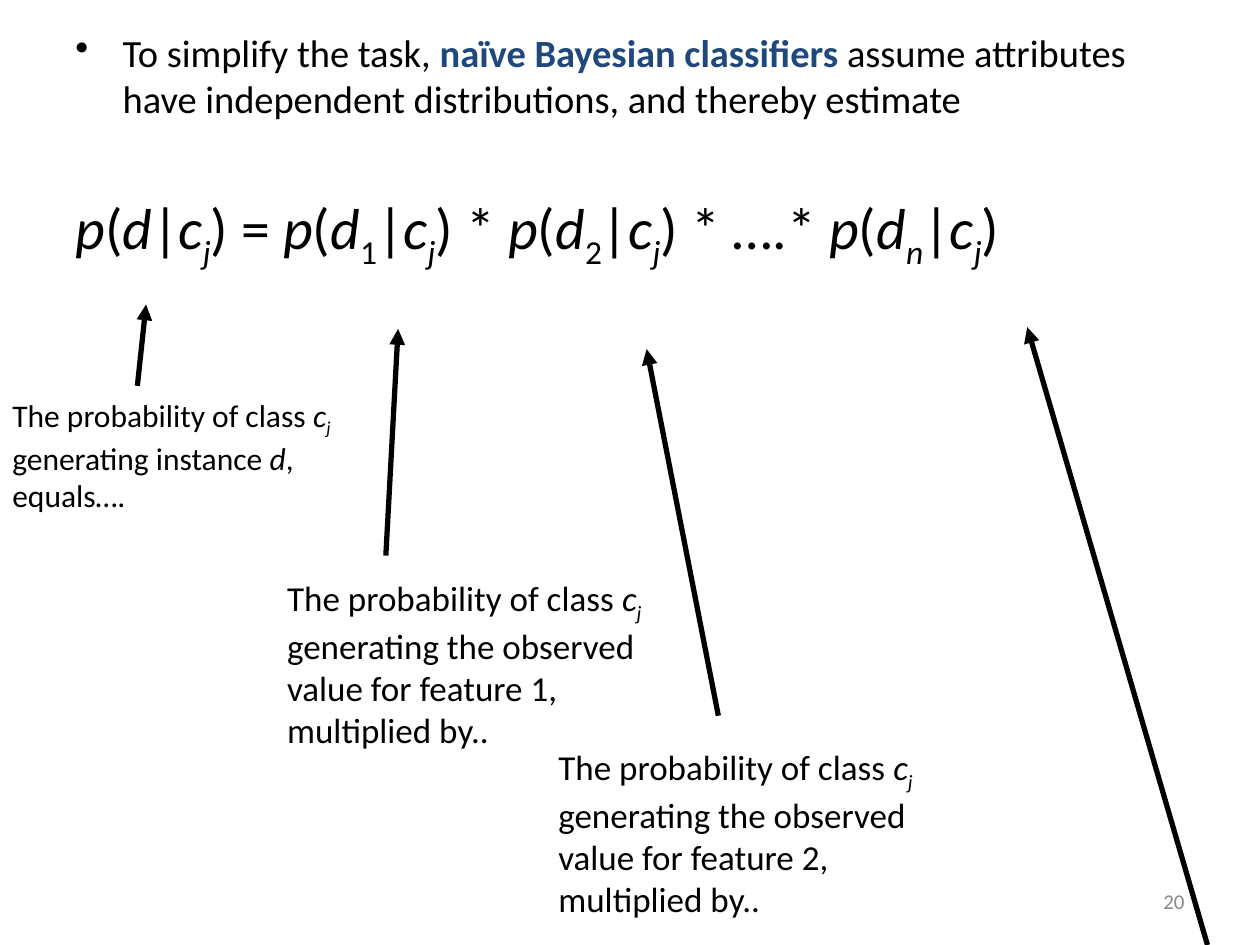
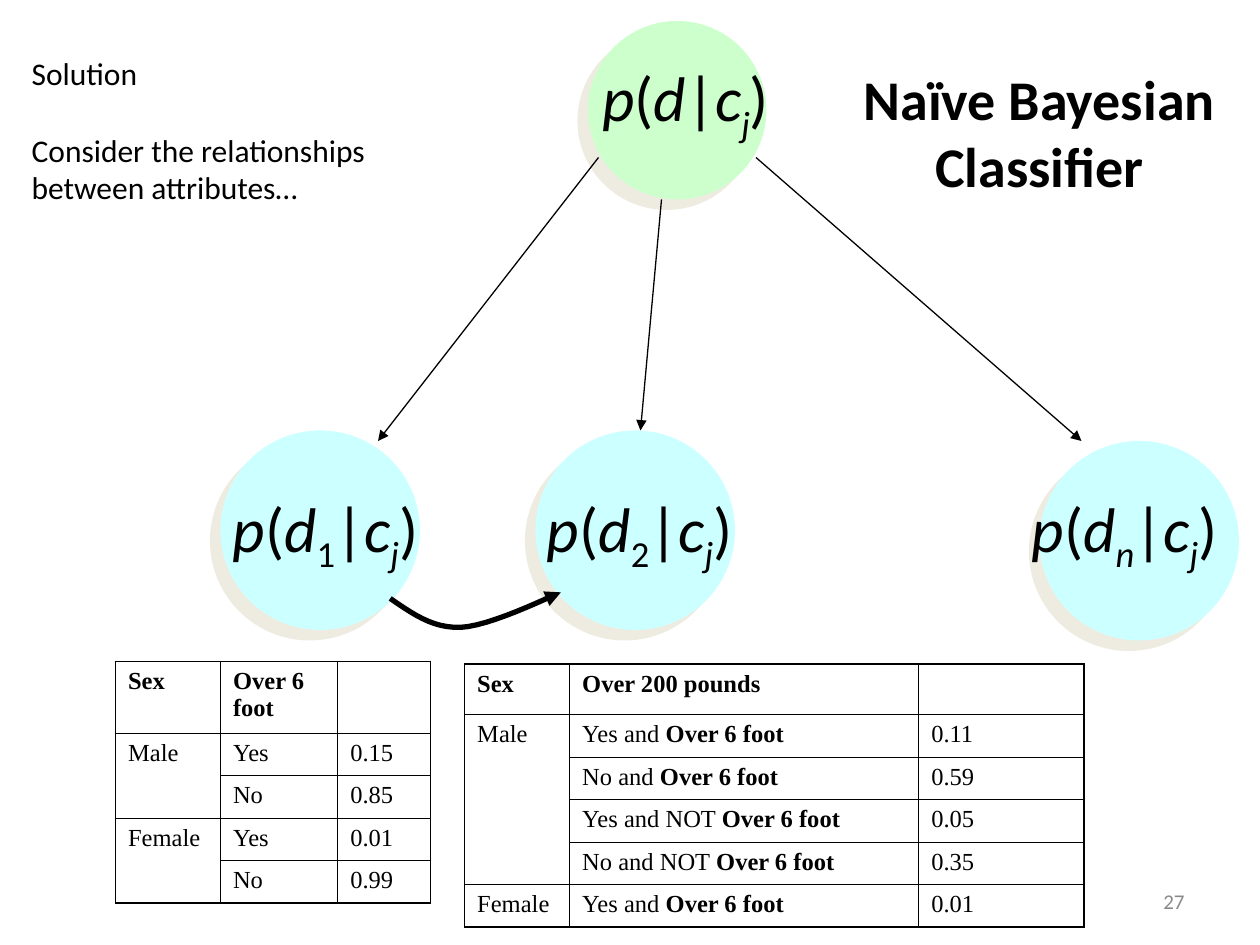
from dataclasses import dataclass
from lxml import etree
from pptx import Presentation
from pptx.dml.color import RGBColor
from pptx.enum import shapes, text
from pptx.oxml.ns import qn
from pptx.util import Pt


@dataclass(frozen=True)
class Theme:
    ink: str = "000000"
    accent: str = "1F497D"
    mute: str = "898989"
    root: str = "CCFFCC"
    leaf: str = "CCFFFF"
    shade: str = "EEECE1"
    face: str = "Calibri"
    serif: str = "Times New Roman"
    title: int = 32
    node: int = 36
    math: int = 33
    lead: int = 22
    note: int = 20
    small: int = 18
    cell: int = 14
    foot: int = 12


T = Theme()
# {italic} [italic subscript] <subscript> «accent bold» ‹bold›
OPEN = {"{": "i", "[": "is", "<": "s", "«": "ba", "‹": "b"}
CLOSE = "}]>»›"


def write(frame, lines, size, face=T.face, color=T.ink):
    """Fill a text frame from marked-up lines; return its paragraphs."""
    frame.word_wrap = True
    for n, line in enumerate(lines):
        para = frame.add_paragraph() if n else frame.paragraphs[0]
        para.font.size, para.font.name = Pt(size), face
        para.font.color.rgb = RGBColor.from_string(color)
        parts = [["", ""]]
        for char in line:
            if char in OPEN or char in CLOSE:
                parts.append([OPEN.get(char, ""), ""])
            else:
                parts[-1][1] += char
        for style, words in parts:
            if not words:
                continue
            run = para.add_run()
            run.text = words
            if "i" in style:
                run.font.italic = True
            if "b" in style:
                run.font.bold = True
            if "a" in style:
                run.font.color.rgb = RGBColor.from_string(T.accent)
            if "s" in style:
                run._r.get_or_add_rPr().set("baseline", "-25000")
    return frame.paragraphs


def arrow(shape, width):
    """Give a connector or open outline a black stroke with an arrowhead."""
    shape.line.width = Pt(width)
    shape.line.color.rgb = RGBColor.from_string(T.ink)
    props = shape._element.spPr
    etree.SubElement(props.find(qn("a:ln")), qn("a:tailEnd"), type="triangle")
    etree.SubElement(props, qn("a:effectLst"))


deck = Presentation()
deck.slide_width, deck.slide_height = Pt(720), Pt(540)
rule, tree = [deck.slides.add_slide(deck.slide_layouts[6]) for _ in range(2)]

# Slide 1: rule and product formula
body = rule.shapes.add_textbox(Pt(36), Pt(13), Pt(648), Pt(160))
lead, math = write(body.text_frame, [
    "To simplify the task, «naïve Bayesian classifiers» assume attributes "
    "have independent distributions, and thereby estimate",
    "{p}({d}|{c}[j]) = {p}({d}<1>|{c}[j]) * {p}({d}<2>|{c}[j]) * ….* {p}({d}[n]|{c}[j])",
], T.lead)
math.font.size = Pt(T.math)
math.space_before = Pt(40.5)
props = lead._p.get_or_add_pPr()
props.set("marL", str(Pt(27)))
props.set("indent", str(-Pt(27)))
bullet = etree.Element(qn("a:buChar"), char="•")
props[-1].addprevious(bullet)

# Slide 1: notes under the factors
for x, y, size, tail in [
    (0, 222.5, T.small, "instance {d}, equals…."),
    (157, 326, T.note, "the observed value for feature 1, multiplied by.."),
    (312, 422.5, T.note, "the observed value for feature 2, multiplied by.."),
]:
    note = rule.shapes.add_textbox(Pt(x), Pt(y), Pt(232), Pt(106))
    write(note.text_frame,
          ["The probability of class {c}[j] generating " + tail], size)

# Slide 2: circles with flat offset shadows
for x, y, size, color in [
    (306, 246, 114, T.leaf), (594, 252, 114, T.leaf),
    (126, 246, 114, T.leaf), (336, 12, 102, T.root),
]:
    disc = tree.shapes.add_shape(shapes.MSO_SHAPE.OVAL,
                                 Pt(x), Pt(y), Pt(size), Pt(size))
    disc.fill.solid()
    disc.fill.fore_color.rgb = RGBColor.from_string(color)
    disc.line.fill.background()
    disc.shadow.inherit = False
    effect = disc._element.spPr.find(qn("a:effectLst"))
    shade = etree.SubElement(effect, qn("a:outerShdw"), blurRad="0",
                             dist=str(Pt(8.5)), dir="8100000",
                             algn="ctr", rotWithShape="0")
    etree.SubElement(shade, qn("a:srgbClr"), val=T.shade)

# Slide 2: title
title = tree.shapes.add_textbox(Pt(480), Pt(30), Pt(228), Pt(90)).text_frame
title.vertical_anchor = text.MSO_ANCHOR.MIDDLE
head = write(title, ["Naïve Bayesian Classifier"], T.title)[0]
head.font.bold = True
head.alignment = text.PP_ALIGN.CENTER

# Slide 2: node labels, the lower three set on tab stops
leaves = tree.shapes.add_textbox(Pt(126), Pt(276), Pt(590), Pt(78))
row = write(leaves.text_frame, [
    "{p}({d}<1>|{c}[j])\t{p}({d}<2>|{c}[j])\t{p}({d}[n]|{c}[j])"], T.node)[0]
tabs = etree.Element(qn("a:tabLst"))
for stop in (179.5, 456.5):
    etree.SubElement(tabs, qn("a:tab"), pos=str(Pt(stop)), algn="l")
row._p.get_or_add_pPr()[-1].addprevious(tabs)
root = tree.shapes.add_textbox(Pt(337), Pt(30), Pt(126), Pt(57))
write(root.text_frame, ["{p}({d}|{c}[j])"], T.node)

# Slide 2: remark
hint = tree.shapes.add_textbox(Pt(11), Pt(27.5), Pt(229), Pt(93))
write(hint.text_frame, [
    "Solution", "Consider the relationships between attributes…",
], T.small)[1].space_before = Pt(22)

# Straight arrows on both slides
for page, width, ends in [
    (rule, 3, [(78.5, 220.5, 83.5, 174), (220.5, 317.5, 227.5, 188),
               (410.5, 409, 369.5, 199.5), (690, 540, 587, 187)]),
    (tree, 0.75, [(342, 90, 216, 252), (378, 114, 366, 246),
                  (432, 90, 618, 252)]),
]:
    for end in ends:
        arrow(page.shapes.add_connector(shapes.MSO_CONNECTOR.STRAIGHT,
                                        *map(Pt, end)), width)

# Slide 2: probability tables; an empty first cell joins the one above
for x, y, cols, top, rows in [
    (66, 378, (60, 67, 53), 41, [
        ("‹Sex›", "‹Over 6 foot›", ""),
        ("Male", "Yes", "0.15"), ("", "No", "0.85"),
        ("Female", "Yes", "0.01"), ("", "No", "0.99")]),
    (265.5, 379.5, (60, 199.5, 94.5), 28.9, [
        ("‹Sex›", "‹Over 200 pounds›", ""),
        ("Male", "Yes and ‹Over 6 foot›", "0.11"),
        ("", "No and ‹Over 6 foot›", "0.59"),
        ("", "Yes and NOT ‹Over 6 foot›", "0.05"),
        ("", "No and NOT ‹Over 6 foot›", "0.35"),
        ("Female", "Yes and ‹Over 6 foot›", "0.01")]),
]:
    grid = tree.shapes.add_table(len(rows), len(cols), Pt(x), Pt(y), Pt(sum(cols)),
                                 Pt(top + 24.3 * (len(rows) - 1))).table
    grid.first_row = grid.horz_banding = False
    for col, width in zip(grid.columns, cols):
        col.width = Pt(width)
    for r, cells in enumerate(rows):
        grid.rows[r].height = Pt(24.3 if r else top)
        for c, words in enumerate(cells):
            cell = grid.cell(r, c)
            write(cell.text_frame, [words], T.cell, T.serif)
            props = cell._tc.get_or_add_tcPr()
            base = not any(below[c] for below in rows[r + 1:])
            for side, outer in [("L", c == 0), ("R", c == len(cols) - 1),
                                ("T", r == 0), ("B", base)]:
                edge = etree.SubElement(props, qn("a:ln" + side),
                                        w=str(Pt(1.08 if outer else 0.45)))
                fill = etree.SubElement(edge, qn("a:solidFill"))
                etree.SubElement(fill, qn("a:srgbClr"), val=T.ink)
            cell.fill.background()
    starts = [r for r, cells in enumerate(rows) if cells[0]] + [len(rows)]
    for first, after in zip(starts, starts[1:]):
        if after - first > 1:
            grid.cell(first, 0).merge(grid.cell(after - 1, 0))

# Slide 2: curved arrow between the first two leaves
dots = []
for curve in [
    ((223, 342), (235.5, 350.5), (247, 359), (263, 358.5)),
    ((263, 358.5), (279.5, 358), (313, 341.5), (320.5, 338.5)),
]:
    for step in range(13):
        t = step / 12
        blend = ((1 - t) ** 3, 3 * t * (1 - t) ** 2, 3 * t * t * (1 - t), t ** 3)
        dots.append([Pt(sum(b * p[axis] for b, p in zip(blend, curve)))
                     for axis in (0, 1)])
pen = tree.shapes.build_freeform(*dots[0])
pen.add_line_segments(dots[1:], close=False)
link = pen.convert_to_shape()
link.fill.background()
arrow(link, 3)

# Page numbers
for page, number in [(rule, "20"), (tree, "27")]:
    foot = page.shapes.add_textbox(Pt(516), Pt(500.5), Pt(168), Pt(29)).text_frame
    foot.vertical_anchor = text.MSO_ANCHOR.MIDDLE
    write(foot, [number], T.foot, color=T.mute)[0].alignment = text.PP_ALIGN.RIGHT

deck.save("out.pptx")
